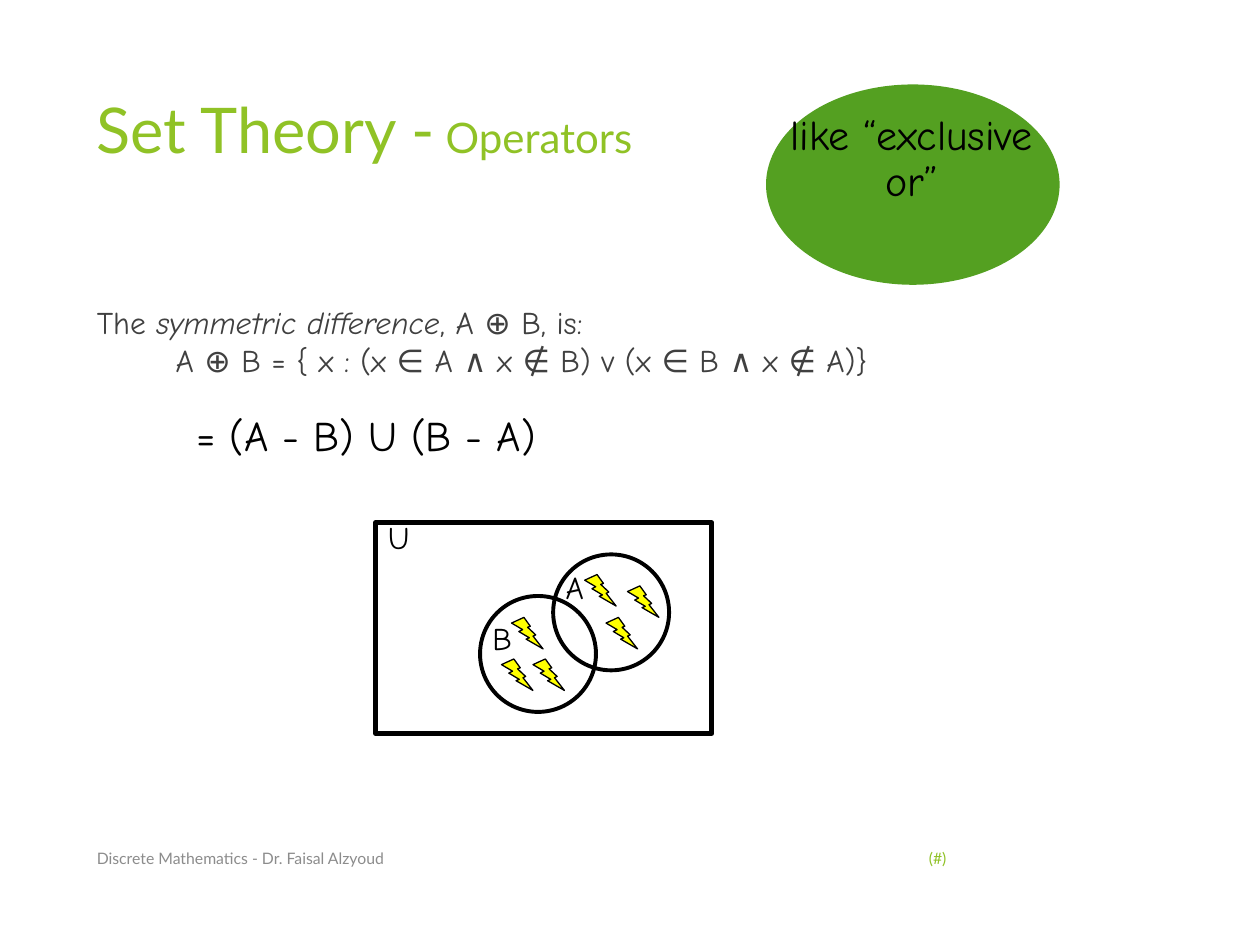
from pptx import Presentation
from pptx.dml.color import RGBColor
from pptx.enum.shapes import MSO_SHAPE
from pptx.enum.text import MSO_ANCHOR, PP_ALIGN
from pptx.util import Inches, Pt

RECT, OVAL, BOLT = MSO_SHAPE.RECTANGLE, MSO_SHAPE.OVAL, MSO_SHAPE.LIGHTNING_BOLT
LEFT, MID, RIGHT = PP_ALIGN.LEFT, PP_ALIGN.CENTER, PP_ALIGN.RIGHT
TOP, CENTRE = MSO_ANCHOR.TOP, MSO_ANCHOR.MIDDLE
LIME = RGBColor(0x90, 0xC2, 0x26)
GREEN = RGBColor(0x54, 0xA0, 0x21)
DARK = RGBColor(0x40, 0x40, 0x40)
GREY = RGBColor(0x8C, 0x8C, 0x8C)
BLACK = RGBColor(0, 0, 0)
WHITE = RGBColor(255, 255, 255)
YELLOW = RGBColor(255, 255, 0)
HEAD, BODY = "Lato", "Comic Neue"


def write(para, text, size=18, font=BODY, color=BLACK, italic=False):
    run = para.add_run()
    run.text = text
    run.font.size = Pt(size)
    run.font.name = font
    run.font.color.rgb = color
    run.font.italic = italic


class Deck:
    def __init__(self):
        self.file = Presentation()
        self.file.slide_width = Inches(10)
        self.file.slide_height = Inches(7.5)
        self.slide = self.file.slides.add_slide(self.file.slide_layouts[6])

    def text(self, box, *lines, align=LEFT, anchor=TOP, space=1.0, **style):
        frame = self.slide.shapes.add_textbox(*map(Inches, box)).text_frame
        frame.word_wrap = True
        frame.vertical_anchor = anchor
        for i, line in enumerate(lines):
            para = frame.add_paragraph() if i else frame.paragraphs[0]
            para.alignment = align
            para.line_spacing = space
            for part, extra in line if isinstance(line, list) else [(line, {})]:
                write(para, part, **{**style, **extra})
        return frame

    def shape(self, kind, box, fill=None, width=0):
        item = self.slide.shapes.add_shape(kind, *map(Inches, box))
        item.shadow.inherit = False
        if fill is None:
            item.fill.background()
        else:
            item.fill.solid()
            item.fill.fore_color.rgb = fill
        if width:
            item.line.color.rgb = BLACK
            item.line.width = Pt(width)
        else:
            item.line.fill.background()


def main():
    deck = Deck()
    deck.text((0.67, 0.67, 6.94, 1.44),
              [("Set Theory -", {}), (" Operators", {"size": 24})],
              size=36, font=HEAD, color=LIME)
    body = deck.text((0.67, 2.36, 6.94, 4.24),
                     [("The ", {}), ("symmetric difference", {"italic": True}),
                      (", A ⊕ B, is:", {})],
                     "A ⊕ B = { x : (x ∈ A ∧ x ∉ B) v (x ∈ B ∧ x ∉ A)}",
                     color=DARK)
    body.paragraphs[1].alignment = MID
    deck.text((0.67, 6.61, 5.06, 0.4), "Discrete Mathematics - Dr. Faisal Alzyoud",
              anchor=CENTRE, size=9, font=HEAD, color=GREY)
    deck.text((7.05, 6.61, 0.56, 0.4), "(#)", align=RIGHT, anchor=CENTRE,
              size=9, font=HEAD, color=LIME)
    deck.text((1.46, 3.2, 3.5, 0.67), "= (A - B) U (B - A)", size=24)

    deck.shape(OVAL, (6.08, 0.67, 2.33, 1.59), GREEN)
    deck.text((6.08, 0.86, 2.31, 1.18), "like “exclusive or”",
              align=MID, space=0.9, size=24)

    deck.shape(RECT, (2.98, 4.15, 2.67, 1.67), WHITE, 3)
    deck.text((4.39, 4.49, 0.42, 0.5), "A", space=0.9)
    deck.text((2.98, 4.06, 0.5, 0.58), "U")
    deck.shape(OVAL, (3.81, 4.73, 0.92, 0.92), WHITE, 2.25)
    deck.text((3.81, 4.9, 0.42, 0.5), "B", space=0.9)
    deck.shape(OVAL, (4.39, 4.4, 0.92, 0.92), width=2.25)
    for x, y in [(4.81, 4.9), (4.98, 4.65), (4.64, 4.56),
                 (4.06, 4.9), (3.98, 5.23), (4.23, 5.23)]:
        deck.shape(BOLT, (x, y, 0.25, 0.25), YELLOW, 0.75)
    deck.file.save("out.pptx")


if __name__ == "__main__":
    main()
